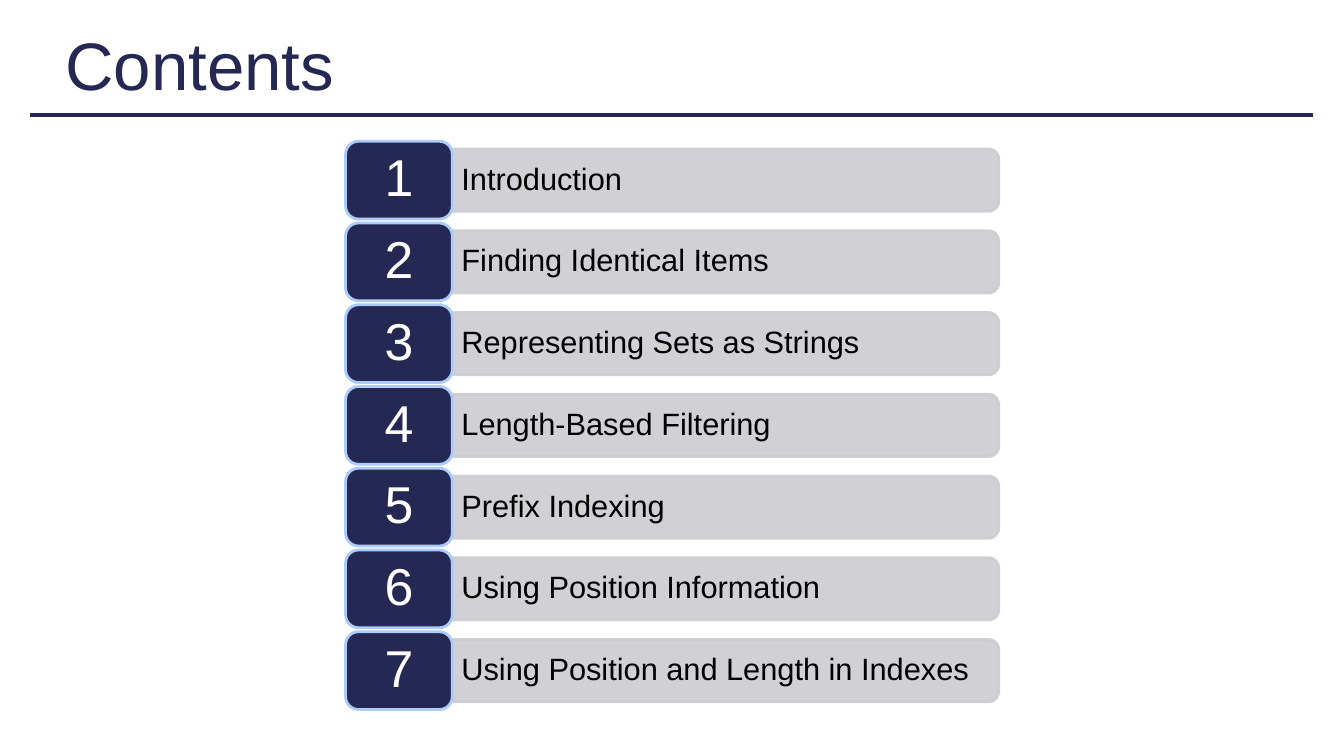
"""Build the contents slide with its numbered chapter list."""
from dataclasses import dataclass

import pptx
import pptx.dml.color
import pptx.enum.shapes
import pptx.enum.text
import pptx.oxml.ns
import pptx.util
from lxml import etree

Cm = pptx.util.Cm
Pt = pptx.util.Pt
Align = pptx.enum.text.PP_ALIGN
Anchor = pptx.enum.text.MSO_ANCHOR
Shape = pptx.enum.shapes.MSO_SHAPE


@dataclass(frozen=True)
class Theme:
    font: str = "Arial"
    navy: str = "242852"
    sky: str = "ACCBF9"
    grey: str = "CDCDD1"
    black: str = "000000"
    white: str = "FFFFFF"
    title_size: int = 48
    number_size: int = 37
    label_size: int = 22
    rule_width: int = 3
    outline_width: int = 2
    bar_opacity: int = 90


THEME = Theme()
CHAPTERS = [
    "Introduction",
    "Finding Identical Items",
    "Representing Sets as Strings",
    "Length-Based Filtering",
    "Prefix Indexing",
    "Using Position Information",
    "Using Position and Length in Indexes",
]
FIRST_CENTRE, ROW_PITCH = 4.54, 2.06
BADGE_LEFT, BADGE_WIDTH, BADGE_HEIGHT = 8.71, 2.69, 1.96
BAR_LEFT, BAR_LENGTH, BAR_THICKNESS = 11.4, 13.77, 1.57
LABEL_WIDTH, LABEL_HEIGHT = 13.69, 1.42


def rgb(value):
    return pptx.dml.color.RGBColor.from_string(value)


def set_opacity(fill_format, percent):
    for colour in fill_format.iter(pptx.oxml.ns.qn("a:srgbClr")):
        alpha = etree.SubElement(colour, pptx.oxml.ns.qn("a:alpha"))
        alpha.set("val", str(percent * 1000))


def write_text(shape, text, size, colour, align, anchor, spacing, margins):
    frame = shape.text_frame
    frame.word_wrap = True
    frame.vertical_anchor = anchor
    frame.margin_left = frame.margin_right = Cm(margins[0])
    frame.margin_top = frame.margin_bottom = Cm(margins[1])
    frame.text = text
    para = frame.paragraphs[0]
    para.alignment = align
    para.line_spacing = spacing
    span = para.runs[0]
    span.font.name = THEME.font
    span.font.size = Pt(size)
    span.font.color.rgb = rgb(colour)


def add_block(page, kind, left, top, width, height, fill, outline):
    block = page.shapes.add_shape(kind, Cm(left), Cm(top), Cm(width), Cm(height))
    block.shadow.inherit = False
    block.fill.solid()
    block.fill.fore_color.rgb = rgb(fill)
    block.line.color.rgb = rgb(outline)
    block.line.width = Pt(THEME.outline_width)
    return block


def add_text(page, text, left, top, width, height, **style):
    box = page.shapes.add_textbox(Cm(left), Cm(top), Cm(width), Cm(height))
    write_text(box, text, align=Align.LEFT, **style)


def add_rule(page, left, right, height):
    rule = page.shapes.add_connector(
        pptx.enum.shapes.MSO_CONNECTOR.STRAIGHT,
        Cm(left), Cm(height), Cm(right), Cm(height))
    rule.line.color.rgb = rgb(THEME.navy)
    rule.line.width = Pt(THEME.rule_width)
    etree.SubElement(rule._element.spPr, pptx.oxml.ns.qn("a:effectLst"))


def add_bar(page, centre):
    bar = add_block(
        page, Shape.ROUND_2_SAME_RECTANGLE,
        BAR_LEFT + (BAR_LENGTH - BAR_THICKNESS) / 2, centre - BAR_LENGTH / 2,
        BAR_THICKNESS, BAR_LENGTH, THEME.grey, THEME.grey)
    bar.rotation = 90
    set_opacity(bar._element.spPr, THEME.bar_opacity)


def add_badge(page, number, centre):
    badge = add_block(
        page, Shape.ROUNDED_RECTANGLE, BADGE_LEFT, centre - BADGE_HEIGHT / 2,
        BADGE_WIDTH, BADGE_HEIGHT, THEME.navy, THEME.sky)
    write_text(badge, str(number), THEME.number_size, THEME.white,
               Align.CENTER, Anchor.MIDDLE, 0.9, (0.38, 0.2))


def add_chapter(page, number, name):
    centre = FIRST_CENTRE + (number - 1) * ROW_PITCH
    add_bar(page, centre)
    add_text(page, name, BAR_LEFT, centre - LABEL_HEIGHT / 2,
             LABEL_WIDTH, LABEL_HEIGHT, size=THEME.label_size,
             colour=THEME.black, anchor=Anchor.MIDDLE, spacing=0.9,
             margins=(0.23, 0.12))
    add_badge(page, number, centre)


def main():
    deck = pptx.Presentation()
    deck.slide_width, deck.slide_height = Cm(33.87), Cm(19.05)
    page = deck.slides.add_slide(deck.slide_layouts[6])
    add_rule(page, 0.76, 33.1, 2.9)
    add_text(page, "Contents", 1.4, 0.51, 31.12, 2.24, size=THEME.title_size,
             colour=THEME.navy, anchor=Anchor.BOTTOM, spacing=0.85,
             margins=(0.25, 0.13))
    for number, name in enumerate(CHAPTERS, start=1):
        add_chapter(page, number, name)
    deck.save("out.pptx")


if __name__ == "__main__":
    main()
